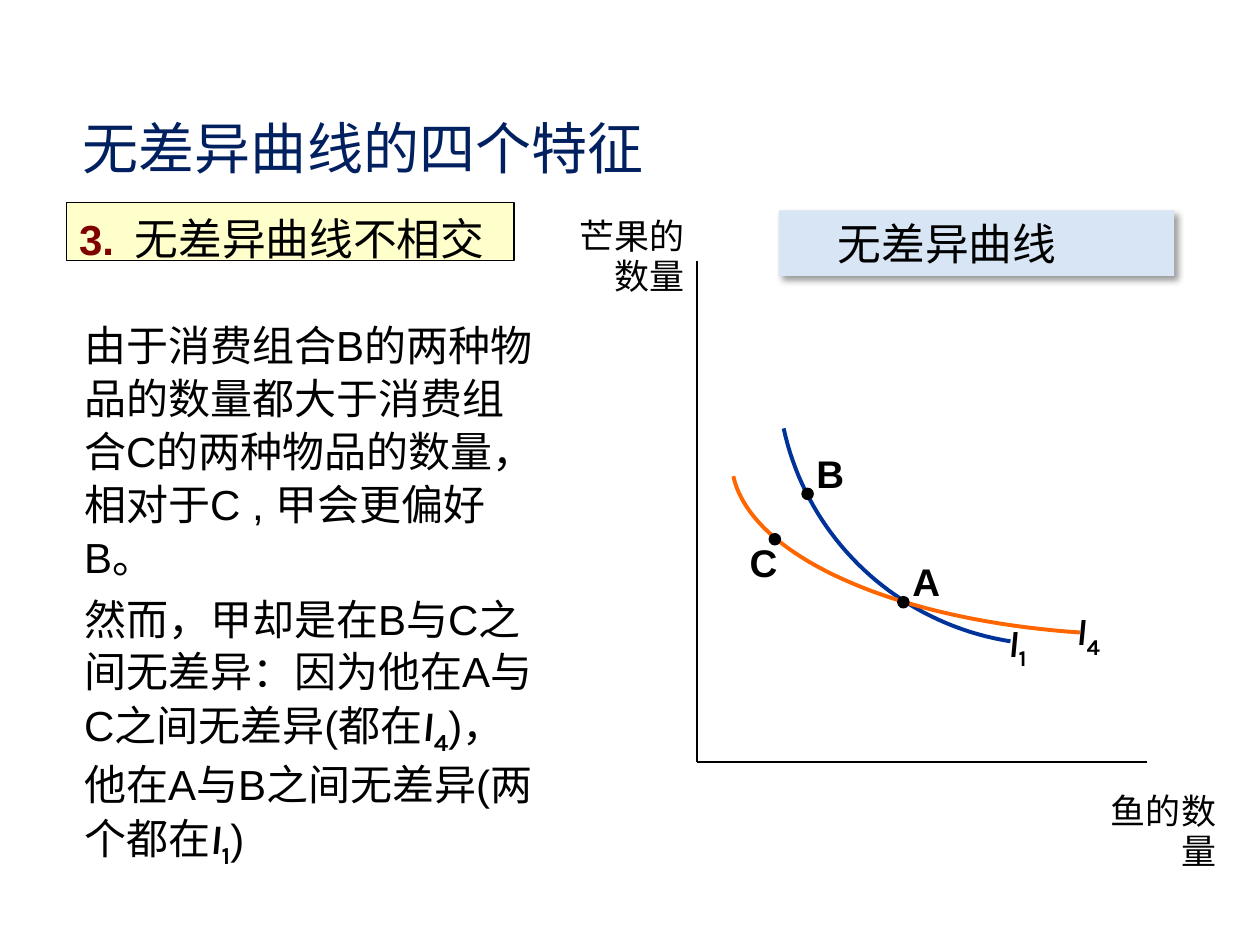
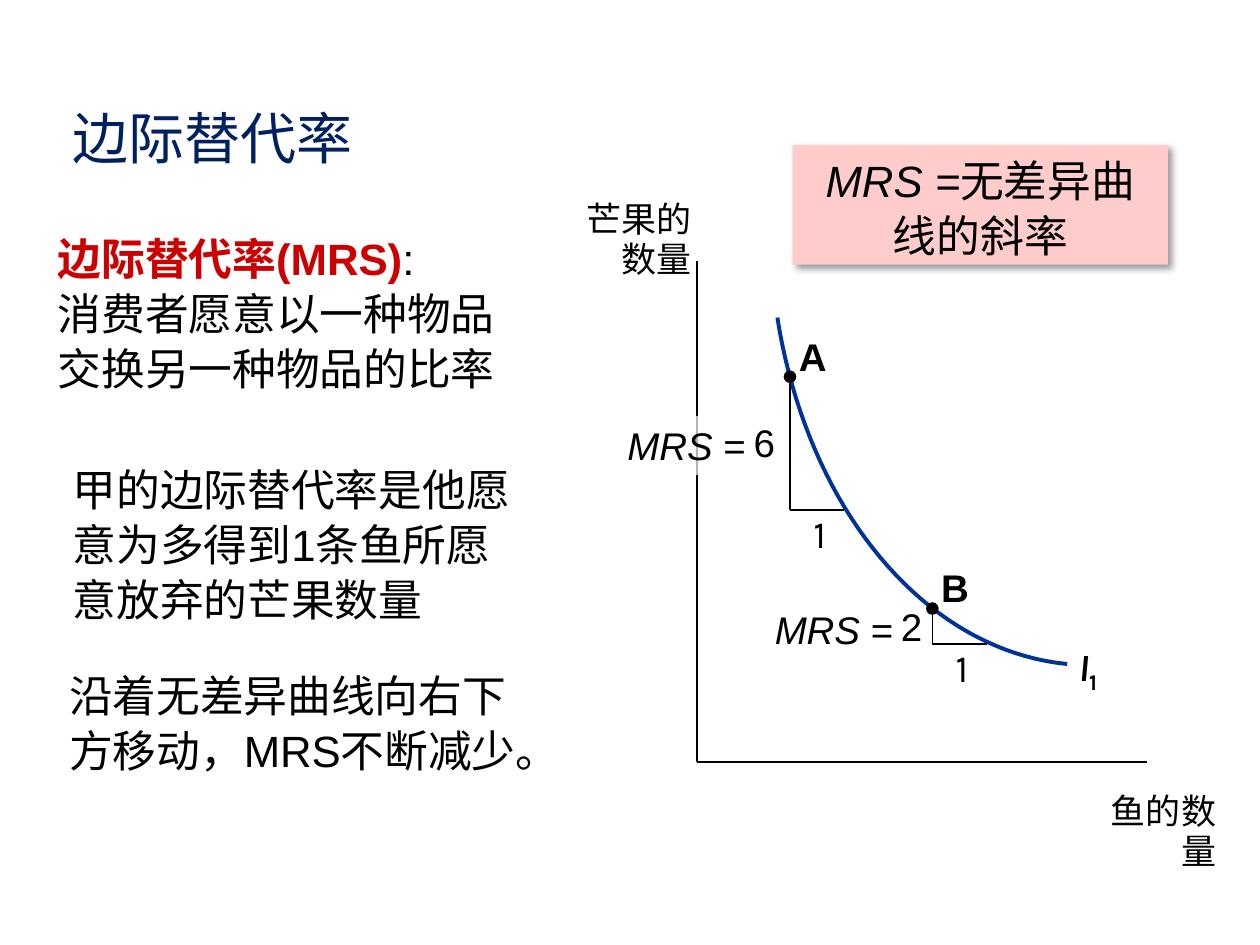
from lxml.etree import SubElement
from pptx import Presentation
from pptx.dml.color import RGBColor
from pptx.enum.shapes import MSO_CONNECTOR as Connector, MSO_SHAPE as Preset
from pptx.enum.text import MSO_ANCHOR as Anchor, PP_ALIGN as Align
from pptx.oxml.ns import qn
from pptx.util import Inches, Pt

COLORS = {
    "black": "000000", "white": "FFFFFF", "title": "002060", "number": "800000",
    "term": "CC0000", "feature": "FFFFCC", "blue_callout": "D7E5F5",
    "pink_callout": "FFCCCC", "curve_1": "003399", "curve_4": "FF6600",
}
PLOT_BOX = (5.53, 2.07, 3.57, 3.98)
SYMBOL = {"font": "Karla", "bold": True, "italic": True}
SUBSCRIPT = {"font": "Karla", "bold": True, "baseline": -25}
CURVE_STEPS = 40


def rgb(name):
    """Return the named colour."""
    return RGBColor.from_string(COLORS[name])


def format_run(run, size=24, font="Arial", color="black", bold=False, italic=False, baseline=0):
    """Apply character formatting to a run."""
    run.font.size = Pt(size)
    run.font.name = font
    run.font.color.rgb = rgb(color)
    run.font.bold = bold
    run.font.italic = italic
    if baseline:
        run.font._element.set("baseline", str(baseline * 1000))


def write_text(shape, paragraphs, align=Align.LEFT, line=1.0, before=0, insets=(0.1, 0.05, 0.1, 0.05),
               indent=(0, 0), **run_format):
    """Fill a shape with paragraphs, each a string or a list of (text, format) runs."""
    frame = shape.text_frame
    frame.word_wrap = True
    frame.vertical_anchor = Anchor.TOP
    frame.margin_left, frame.margin_top, frame.margin_right, frame.margin_bottom = map(Inches, insets)
    for index, content in enumerate(paragraphs):
        paragraph = frame.add_paragraph() if index else frame.paragraphs[0]
        paragraph.alignment = align
        paragraph.line_spacing = line
        paragraph.space_before = Pt(before if index else 0)
        properties = paragraph._p.get_or_add_pPr()
        properties.set("marL", str(Inches(indent[0])))
        properties.set("indent", str(Inches(indent[1])))
        for text, changes in [(content, {})] if isinstance(content, str) else content:
            if text == "\n":
                paragraph.add_line_break()
                continue
            run = paragraph.add_run()
            run.text = text
            format_run(run, **{**run_format, **changes})


def add_text(slide, box, *paragraphs, **text_format):
    """Add a text box."""
    write_text(slide.shapes.add_textbox(*map(Inches, box)), paragraphs, **text_format)


def add_block(slide, box, fill, preset=Preset.RECTANGLE, line_width=0):
    """Add a filled preset shape, outlined in black if a width is given."""
    shape = slide.shapes.add_shape(preset, *map(Inches, box))
    shape.shadow.inherit = False
    shape.fill.solid()
    shape.fill.fore_color.rgb = rgb(fill)
    if line_width:
        shape.line.color.rgb = rgb("black")
        shape.line.width = Pt(line_width)
    else:
        shape.line.fill.background()
    return shape


def set_alpha(color_element, percent):
    """Set the opacity of a colour element."""
    SubElement(color_element, qn("a:alpha"), val=str(percent * 1000))


def add_callout(slide, box, fill, runs, **text_format):
    """Add a callout with a soft shadow."""
    shape = add_block(slide, box, fill)
    effects = shape._element.spPr.find(qn("a:effectLst"))
    shadow = SubElement(effects, qn("a:outerShdw"), blurRad=str(Pt(4)), dist=str(Pt(3)),
                        dir=str(45 * 60000), algn="tl", rotWithShape="0")
    set_alpha(SubElement(shadow, qn("a:srgbClr"), val=COLORS["black"]), 40)
    write_text(shape, [runs], size=25, **text_format)


def add_line(slide, start, end):
    """Add a thin black line."""
    line = slide.shapes.add_connector(Connector.STRAIGHT, *map(Inches, (*start, *end)))
    line.line.color.rgb = rgb("black")
    line.line.width = Pt(1)
    SubElement(line._element.spPr, qn("a:effectLst"))


def inside(box, offset):
    """Turn an offset within a box into a slide position."""
    return box[0] + offset[0], box[1] + offset[1]


def add_title(slide, left, top, title):
    """Add the slide title."""
    add_text(slide, (left, top, 7.92, 0.6), title, size=32, font="Karla", color="title")


def add_axes(slide, box, quantity_offset):
    """Draw both axes along the left and bottom of the box and name them."""
    left, top, width, height = box
    origin = (left, top + height)
    add_line(slide, (left, top), origin)
    add_line(slide, origin, (left + width, top + height))
    for offset, name in ((quantity_offset, "芒果的数量"), ((3.18, 4.17), "鱼的数量")):
        add_text(slide, (*inside(box, offset), 1.04, 0.74), name, size=20, align=Align.RIGHT, line=0.95)


def add_curve(slide, box, controls, color, number, label_offset):
    """Draw an indifference curve from four Bézier control points and label it."""
    points = []
    for step in range(CURVE_STEPS + 1):
        t = step / CURVE_STEPS
        weights = ((1 - t) ** 3, 3 * t * (1 - t) ** 2, 3 * t ** 2 * (1 - t), t ** 3)
        offset = [sum(w * c for w, c in zip(weights, axis)) for axis in zip(*controls)]
        points.append(tuple(map(Inches, inside(box, offset))))
    builder = slide.shapes.build_freeform(*points[0])
    builder.add_line_segments(points[1:], close=False)
    curve = builder.convert_to_shape()
    curve.shadow.inherit = False
    curve.fill.background()
    curve.line.color.rgb = rgb(color)
    curve.line.width = Pt(2.25)
    add_text(slide, (*inside(box, label_offset), 0.45, 0.47), [("I", SYMBOL), (number, SUBSCRIPT)],
             size=22, insets=(0, 0, 0, 0.1))


def add_point(slide, box, center, name, label_offset=(0.07, -0.35)):
    """Mark a consumption bundle with a dot and a letter."""
    x, y = inside(box, center)
    add_block(slide, (x - 0.05, y - 0.05, 0.1, 0.1), "black", Preset.OVAL)
    add_text(slide, (x + label_offset[0], y + label_offset[1], 0.32, 0.37), name,
             size=22, bold=True, insets=(0, 0, 0, 0))


def add_slope(slide, box, corner, rise, rate, rate_offset, masked=False):
    """Draw a slope triangle with its run of one and its rate of substitution."""
    x, y = inside(box, corner)
    add_line(slide, (x + 0.43, y), (x, y))
    add_line(slide, (x, y), (x, y - rise))
    rate_x, rate_y = inside(box, rate_offset)
    name_box = (rate_x - 1.03, rate_y - 0.04, 1.03, 0.47)
    if masked:
        name_shape = add_block(slide, name_box, "white")
        set_alpha(name_shape._element.spPr.find(qn("a:solidFill"))[0], 70)
    else:
        name_shape = slide.shapes.add_textbox(*map(Inches, name_box))
    write_text(name_shape, [[("MRS", {"italic": True}), (" =", {})]], size=22,
               align=Align.RIGHT, insets=(0, 0.05, 0, 0.05))
    for left, top, number, font in ((x + 0.09, y + 0.01, "1", "Karla"), (rate_x, rate_y, rate, "Arial")):
        add_text(slide, (left, top, 0.29, 0.42), number, size=22, font=font, line=0.9,
                 align=Align.CENTER, insets=(0.05, 0.03, 0.05, 0.05))


def build_crossing_slide(slide):
    """Show that indifference curves do not cross."""
    add_axes(slide, PLOT_BOX, (-1.04, -0.39))
    add_curve(slide, PLOT_BOX, ((2.49, 3.02), (1.6, 2.88), (0.88, 2.21), (0.69, 1.33)),
              "curve_1", "1", (2.47, 2.84))
    add_curve(slide, PLOT_BOX, ((3.04, 2.95), (1.56, 2.85), (0.43, 2.34), (0.29, 1.71)),
              "curve_4", "4", (3.01, 2.75))
    add_point(slide, PLOT_BOX, (0.88, 1.85), "B")
    add_point(slide, PLOT_BOX, (0.62, 2.21), "C", (-0.2, 0))
    add_point(slide, PLOT_BOX, (1.64, 2.71), "A")
    add_title(slide, 0.56, 0.85, "无差异曲线的四个特征")
    feature = add_block(slide, (0.53, 1.61, 3.55, 0.46), "feature", line_width=0.75)
    write_text(feature, [[("3.\t", {"size": 24, "color": "number", "bold": True}), ("无差异曲线不相交", {})]],
               size=25, line=1.05, indent=(0.44, -0.44))
    add_text(slide, (0.57, 2.47, 3.84, 4.08),
             "由于消费组合B的两种物品的数量都大于消费组合C的两种物品的数量，相对于C , 甲会更偏好B。",
             [("然而，甲却是在B与C之间无差异：因为他在A与C之间无差异(都在", {}),
              ("I", SYMBOL), ("4", SUBSCRIPT), (")，他在A与B之间无差异(两个都在", {}),
              ("I", SYMBOL), ("1", SUBSCRIPT), (")", {})],
             line=1.05, before=5)
    add_callout(slide, (6.18, 1.67, 3.14, 0.52), "blue_callout", "无差异曲线", indent=(0.37, 0))


def build_substitution_slide(slide):
    """Explain the marginal rate of substitution."""
    add_axes(slide, PLOT_BOX, (-0.98, -0.53))
    add_curve(slide, PLOT_BOX, ((2.94, 3.2), (1.81, 3.09), (0.88, 1.97), (0.64, 0.45)),
              "curve_1", "1", (3.03, 3.03))
    add_slope(slide, PLOT_BOX, (0.74, 1.98), 1.05, "6", (0.39, 1.27), masked=True)
    add_slope(slide, PLOT_BOX, (1.87, 3.04), 0.25, "2", (1.56, 2.73))
    add_point(slide, PLOT_BOX, (0.74, 0.92), "A")
    add_point(slide, PLOT_BOX, (1.87, 2.76), "B")
    add_title(slide, 0.48, 0.77, "边际替代率")
    body = {"size": 25, "line": 1.05}
    add_text(slide, (0.36, 1.77, 3.71, 1.43),
             [("边际替代率(MRS)", {"color": "term", "bold": True}), (":", {}), ("\n", {}),
              ("消费者愿意以一种物品交换另一种物品的比率", {})], **body)
    add_text(slide, (0.48, 3.6, 3.72, 1.43), "甲的边际替代率是他愿意为多得到1条鱼所愿意放弃的芒果数量", **body)
    add_text(slide, (0.45, 5.24, 3.83, 0.98), "沿着无差异曲线向右下方移动，MRS不断减少。", **body)
    add_callout(slide, (6.29, 1.15, 2.98, 0.95), "pink_callout",
                [("MRS =", {"italic": True}), ("无差异曲线的斜率", {})], align=Align.CENTER, line=1.05)


def main():
    """Build and save the presentation."""
    presentation = Presentation()
    presentation.slide_width, presentation.slide_height = Inches(10), Inches(7.5)
    for build in (build_crossing_slide, build_substitution_slide):
        build(presentation.slides.add_slide(presentation.slide_layouts[6]))
    presentation.save("out.pptx")


if __name__ == "__main__":
    main()
